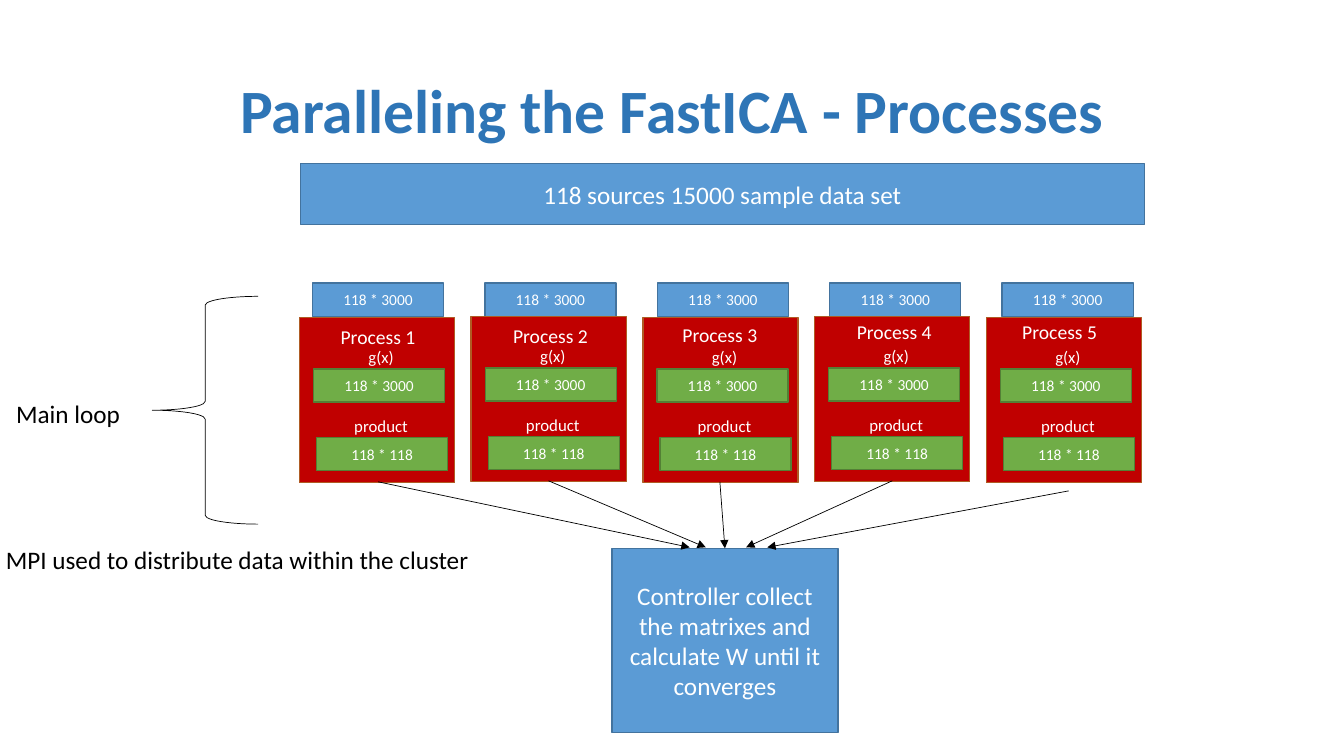
import pptx
import pptx.util
import pptx.dml.color
import pptx.enum.shapes
import pptx.enum.text
import pptx.oxml
import pptx.oxml.ns

Inches = pptx.util.Inches
Kind = pptx.enum.shapes.MSO_SHAPE
Align = pptx.enum.text.PP_ALIGN
Anchor = pptx.enum.text.MSO_ANCHOR
Fit = pptx.enum.text.MSO_AUTO_SIZE

COLORS = {
    "title": "2E75B6", "white": "FFFFFF", "black": "000000",
    "blue": "5B9BD5", "blue_edge": "43739E",
    "red": "C00000", "red_edge": "AF5C24",
    "green": "70AD47", "green_edge": "538035",
}
TITLE = "Paralleling the FastICA - Processes"
DATA_SET = "118 sources 15000 sample data set"
CHUNK = "118 * 3000"
PRODUCT = "118 * 118"
CONTROLLER = "Controller collect the matrixes and calculate W until it converges"
MPI_NOTE = "MPI used to distribute data within the cluster"

# name, panel top, name left and top, arrow start, arrow end
PROCESSES = [
    ("Process 1", 3.15, (2.98, 3.17), (3.75, 4.78), (6.84, 5.43)),
    ("Process 2", 3.14, (4.69, 3.16), (5.44, 4.77), (7.0, 5.43)),
    ("Process 3", 3.15, (6.37, 3.15), (7.14, 4.78), (7.19, 5.44)),
    ("Process 4", 3.14, (8.1, 3.12), (8.85, 4.77), (7.4, 5.43)),
    ("Process 5", 3.15, (9.74, 3.12), (10.6, 4.87), (7.61, 5.43)),
]
PANEL_LEFT, PANEL_PITCH = 2.97, 1.703
PANEL_SIZE = (1.54, 1.64)
CHUNK_LEFT, CHUNK_TOP, CHUNK_PITCH = 3.1, 2.81, 1.71
CHUNK_SIZE = (1.3, 0.33)


def color(name):
    return pptx.dml.color.RGBColor.from_string(COLORS[name])


def write(frame, text, size, ink="white", align=Align.CENTER, bold=False):
    para = frame.paragraphs[0]
    para.alignment = align
    span = para.add_run()
    span.text = text
    looks = {"name": "Calibri", "size": pptx.util.Pt(size), "bold": bold}
    for key, value in looks.items():
        setattr(span.font, key, value)
    span.font.color.rgb = color(ink)


def add_box(shapes, place, size, fill, text="", points=11):
    box = shapes.add_shape(Kind.RECTANGLE, *map(Inches, place + size))
    box.shadow.inherit = False
    box.fill.solid()
    box.fill.fore_color.rgb = color(fill)
    box.line.color.rgb = color(fill + "_edge")
    box.line.width = pptx.util.Pt(1)
    box.text_frame.vertical_anchor = Anchor.MIDDLE
    if text:
        write(box.text_frame, text, points)


def add_label(shapes, place, size, text, points, ink="white", align=Align.CENTER, wrap=True):
    label = shapes.add_textbox(*map(Inches, place + size))
    label.text_frame.word_wrap = wrap
    label.text_frame.auto_size = Fit.SHAPE_TO_FIT_TEXT
    write(label.text_frame, text, points, ink, align)


def add_process(shapes, left, top):
    """Draw one red panel with its two matrix steps."""
    panel = shapes.add_group_shape().shapes
    add_box(panel, (left, top), PANEL_SIZE, "red")
    add_box(panel, (left + 0.14, top + 0.51), CHUNK_SIZE, "green", CHUNK)
    add_box(panel, (left + 0.17, top + 1.19), CHUNK_SIZE, "green", PRODUCT)
    add_label(panel, (left + 0.04, top + 0.93), (1.54, 0.3), "product", 12)
    add_label(panel, (left + 0.14, top + 0.24), (1.34, 0.3), "g(x)", 12)


def add_arrow(shapes, start, end):
    arrow = shapes.add_connector(
        pptx.enum.shapes.MSO_CONNECTOR.STRAIGHT, *map(Inches, start + end))
    arrow.line.color.rgb = color("black")
    arrow.line.width = pptx.util.Pt(0.5)
    head = pptx.oxml.parse_xml(
        '<a:tailEnd %s type="triangle"/>' % pptx.oxml.ns.nsdecls("a"))
    arrow.line._get_or_add_ln().append(head)
    no_effect = pptx.oxml.parse_xml("<a:effectLst %s/>" % pptx.oxml.ns.nsdecls("a"))
    arrow._element.spPr.append(no_effect)


def main():
    deck = pptx.Presentation()
    deck.slide_width, deck.slide_height = Inches(13.33), Inches(7.5)
    page = deck.slides.add_slide(deck.slide_layouts[5])
    shapes = page.shapes

    title = shapes.title
    place = {"left": 0.92, "top": 0.4, "width": 11.5, "height": 1.45}
    for key, value in place.items():
        setattr(title, key, Inches(value))
    title.text_frame.vertical_anchor = Anchor.MIDDLE
    write(title.text_frame, TITLE, 44, "title", bold=True)
    title.text_frame.paragraphs[0].line_spacing = 0.9

    add_box(shapes, (2.98, 1.62), (8.37, 0.61), "blue", DATA_SET, 18)
    for i, (name, top, name_place, start, end) in enumerate(PROCESSES):
        add_box(shapes, (CHUNK_LEFT + i * CHUNK_PITCH, CHUNK_TOP), CHUNK_SIZE, "blue", CHUNK)
        add_process(shapes, PANEL_LEFT + i * PANEL_PITCH, top)
        add_label(shapes, name_place, (1.54, 0.34), name, 14)

    add_box(shapes, (6.07, 5.44), (2.24, 1.83), "blue", CONTROLLER, 18)
    for name, top, name_place, start, end in PROCESSES:
        add_arrow(shapes, start, end)

    brace = shapes.add_shape(Kind.LEFT_BRACE, *map(Inches, (1.51, 2.94, 1.05, 2.26)))
    brace.shadow.inherit = False
    brace.fill.background()
    brace.line.color.rgb = color("black")
    brace.line.width = pptx.util.Pt(0.5)
    add_label(shapes, (0.05, 3.9), (1.25, 0.4), "Main loop", 18, "black", wrap=False)
    add_label(shapes, (-0.04, 5.35), (4.84, 0.4), MPI_NOTE, 18, "black", Align.LEFT, wrap=False)

    deck.save("out.pptx")


if __name__ == "__main__":
    main()
